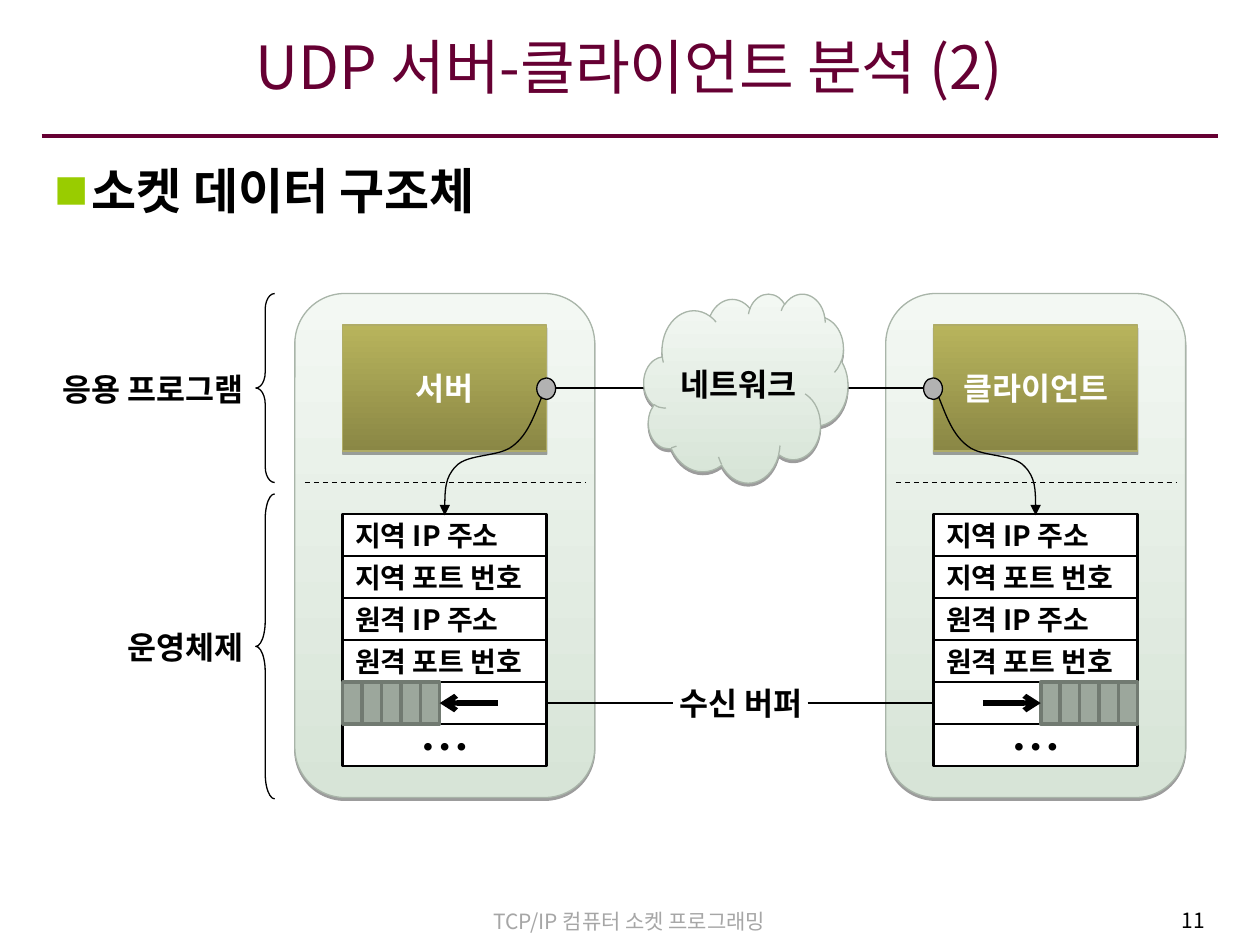
from dataclasses import dataclass

from lxml.etree import SubElement
from pptx import Presentation
from pptx.dml.color import RGBColor
from pptx.enum.dml import MSO_LINE
from pptx.enum.shapes import MSO_CONNECTOR, MSO_SHAPE
from pptx.enum.text import MSO_ANCHOR, MSO_AUTO_SIZE, PP_ALIGN
from pptx.oxml.ns import qn
from pptx.util import Inches, Pt

BLACK = RGBColor(0x00, 0x00, 0x00)
WHITE = RGBColor(0xFF, 0xFF, 0xFF)
WINE = RGBColor(0x66, 0x00, 0x33)
GREY = RGBColor(0xA6, 0xA6, 0xA6)
KNOB = RGBColor(0xB2, 0xB2, 0xB2)
MINT = (RGBColor(0xD7, 0xE4, 0xD7), RGBColor(0xF3, 0xF8, 0xF3))
MINT_EDGE = RGBColor(0xA9, 0xB5, 0xA9)
OLIVE = (RGBColor(0x8A, 0x87, 0x45), RGBColor(0xB8, 0xB4, 0x5C))
OLIVE_EDGE = RGBColor(0xAF, 0xAC, 0x67)
CELL = RGBColor(0x9C, 0xA7, 0x9C)
CELL_EDGE = RGBColor(0x71, 0x7A, 0x71)
SANS = "Noto Sans CJK KR"

TOP, TALL, WIDE = 2.33, 4.0, 2.38
BOX, HALF = 1.62, 0.81
ROW_TOP, ROW = 4.08, 1 / 3
BUF_MID = ROW_TOP + 4.5 * ROW
WIRE = 3.08
SPLIT = 3.83
CELLS = 5
EDGE = 0.04
CELL_WIDE = (HALF - EDGE) / CELLS
BEND = [(0.77, 3.15), (0.71, 3.3), (0.66, 3.45), (0.54, 3.54), (0.43, 3.63),
        (0.18, 3.6), (0.09, 3.7), (0, 3.79), (0, 3.94), (0, 4.09)]
FIELDS = ["지역 IP 주소", "지역 포트 번호", "원격 IP 주소", "원격 포트 번호"]


@dataclass
class Host:
    name: str
    left: float
    side: int

    @property
    def mid(self) -> float:
        return self.left + WIDE / 2

    def at(self, off: float) -> float:
        return self.mid + self.side * off


@dataclass
class Layer:
    name: str
    left: float
    top: float
    tall: float
    curl: float


HOSTS = [Host("서버", 2.34, 1), Host("클라이언트", 7.03, -1)]
LAYERS = [Layer("응용 프로그램", 0.57, TOP, 1.5, 0.83),
          Layer("운영체제", 1.18, 3.92, 2.42, 1.33)]

deck = Presentation()
deck.slide_width, deck.slide_height = Inches(10), Inches(7.5)
slide = deck.slides.add_slide(deck.slide_layouts[1])
shapes = slide.shapes


def write(shape, text: str, *, size=18, color=BLACK, bold=True, font=SANS,
          align=PP_ALIGN.CENTER, anchor=MSO_ANCHOR.MIDDLE, wrap=False):
    frame = shape.text_frame
    frame.auto_size = MSO_AUTO_SIZE.NONE
    frame.word_wrap = wrap
    frame.vertical_anchor = anchor
    para = frame.paragraphs[0]
    para.alignment = align
    run = para.add_run()
    run.text = text
    run.font.size, run.font.bold = Pt(size), bold
    run.font.color.rgb = color
    run.font.name = font
    SubElement(run.font._element, qn("a:ea"), typeface=SANS)
    return para


def place(shape, left: float, top: float, wide: float, tall: float):
    shape.left, shape.top = Inches(left), Inches(top)
    shape.width, shape.height = Inches(wide), Inches(tall)


def label(text: str, left: float, top: float, wide: float, tall: float, **style):
    box = shapes.add_textbox(Inches(left), Inches(top), Inches(wide), Inches(tall))
    write(box, text, **style)


def draw(kind, left: float, top: float, wide: float, tall: float,
         fill=None, edge=BLACK, weight=0.75):
    shape = shapes.add_shape(kind, Inches(left), Inches(top), Inches(wide), Inches(tall))
    shape.shadow.inherit = False
    if fill is None:
        shape.fill.background()
    else:
        shape.fill.solid()
        shape.fill.fore_color.rgb = fill
    shape.line.color.rgb = edge
    shape.line.width = Pt(weight)
    return shape


def shade(shape, tones, depth: float, alpha: int):
    shape.fill.gradient()
    shape.fill.gradient_angle = 90
    for stop, tone in zip(shape.fill.gradient_stops, tones):
        stop.color.rgb = tone
    glow = shape._element.spPr.find(qn("a:effectLst"))
    cast = SubElement(glow, qn("a:outerShdw"), blurRad="0", dist=str(Pt(depth)),
                      dir="5400000", rotWithShape="0")
    tint = SubElement(cast, qn("a:srgbClr"), val="000000")
    SubElement(tint, qn("a:alpha"), val=str(alpha * 1000))


def tip(shape, kind: str):
    SubElement(shape.line._get_or_add_ln(), qn("a:tailEnd"), type=kind)


def rule(start: tuple, end: tuple, color=BLACK, weight=0.75):
    line = shapes.add_connector(MSO_CONNECTOR.STRAIGHT, *map(Inches, start + end))
    line.line.color.rgb = color
    line.line.width = Pt(weight)
    SubElement(line._element.spPr, qn("a:effectLst"))
    return line


def curve(points: list):
    spots = [(Inches(x), Inches(y)) for x, y in points]
    pen = shapes.build_freeform(*spots[0])
    pen.add_line_segments(spots[1:], close=False)
    shape = pen.convert_to_shape()
    shape.shadow.inherit = False
    shape.fill.background()
    shape.line.color.rgb = BLACK
    shape.line.width = Pt(0.75)
    legs = list(shape._element.iter(qn("a:lnTo")))
    trace = legs[0].getparent()
    for first in range(0, len(legs), 3):
        arc = SubElement(trace, qn("a:cubicBezTo"))
        for leg in legs[first:first + 3]:
            arc.append(leg[0])
            trace.remove(leg)
    return shape


def panel(host: Host):
    shape = draw(MSO_SHAPE.ROUNDED_RECTANGLE, host.left, TOP, WIDE, TALL, edge=MINT_EDGE)
    shade(shape, MINT, 1.6, 38)


def stack(host: Host):
    left = host.mid - HALF
    app = draw(MSO_SHAPE.RECTANGLE, left, 2.58, BOX, 1, edge=OLIVE_EDGE)
    shade(app, OLIVE, 1.8, 35)
    write(app, host.name, color=WHITE, font="Arial")
    draw(MSO_SHAPE.OVAL, host.at(HALF) - 0.08, 3, 0.15, 0.17, KNOB)
    split = rule((host.left + 0.08, SPLIT), (host.left + WIDE - 0.07, SPLIT))
    split.line.dash_style = MSO_LINE.DASH
    for i, text in enumerate(FIELDS + ["", "• • •"]):
        row = draw(MSO_SHAPE.RECTANGLE, left, ROW_TOP + i * ROW, BOX, ROW, WHITE, weight=1.5)
        if text in FIELDS:
            write(row, text, size=16, align=PP_ALIGN.LEFT)
        elif text:
            write(row, text, size=16, font="Times New Roman")
    start = min(host.at(-HALF), host.at(-EDGE))
    for i in range(CELLS):
        draw(MSO_SHAPE.RECTANGLE, start + i * CELL_WIDE, ROW_TOP + 4 * ROW,
             CELL_WIDE, ROW, CELL, CELL_EDGE, 2)
    tip(rule((host.at(0.42), BUF_MID), (host.at(-EDGE), BUF_MID), weight=3), "arrow")
    tip(curve([(host.at(off), y) for off, y in BEND]), "triangle")


def brace(layer: Layer):
    shape = draw(MSO_SHAPE.LEFT_BRACE, 2.03, layer.top, 0.15, layer.tall)
    shape.adjustments[0] = layer.curl
    label(layer.name, layer.left, layer.top + layer.tall / 2 - 0.16,
          2.03 - layer.left, 0.33, align=PP_ALIGN.RIGHT)


rule((0.33, 1.08), (9.67, 1.08), WINE, 2.25)
label("TCP/IP 컴퓨터 소켓 프로그래밍", 2.87, 7.16, 4.25, 0.3, size=12,
      color=GREY, bold=False, anchor=MSO_ANCHOR.TOP, wrap=True)
label("11", 7.54, 7.15, 2.12, 0.33, size=12, bold=False,
      align=PP_ALIGN.RIGHT, anchor=MSO_ANCHOR.TOP, wrap=True)

title = shapes.title
place(title, 0.33, 0.15, 9.33, 0.85)
write(title, "UDP 서버-클라이언트 분석 (2)", size=34, color=WINE, bold=False, wrap=True)
title.text_frame.margin_left = title.text_frame.margin_right = Inches(0.08)
title.text_frame.margin_bottom = Inches(0.16)

body = slide.placeholders[1]
place(body, 0.33, 1.22, 9.33, 5.86)
para = write(body, "소켓 데이터 구조체", size=28, align=PP_ALIGN.LEFT,
             anchor=MSO_ANCHOR.TOP, wrap=True)
para.space_before = Pt(7)
props = para._p.get_or_add_pPr()
props.set("marL", str(Inches(0.3)))
props.set("indent", str(Inches(-0.3)))
SubElement(SubElement(props, qn("a:buClr")), qn("a:srgbClr"), val="99CC00")
SubElement(props, qn("a:buSzPct"), val="70000")
SubElement(props, qn("a:buFont"), typeface=SANS)
SubElement(props, qn("a:buChar"), char="■")

for host in HOSTS:
    panel(host)
near, far = (host.at(HALF) for host in HOSTS)
rule((near, WIRE), (far, WIRE))
for host in HOSTS:
    stack(host)
for layer in LAYERS:
    brace(layer)

cloud = draw(MSO_SHAPE.CLOUD, 5.11, TOP, BOX, 1.5, edge=MINT_EDGE)
shade(cloud, MINT, 1.6, 38)
write(cloud, "네트워크", font="Arial")
label("수신 버퍼", 5.11, ROW_TOP + 4 * ROW, 1.54, ROW)
rule((near, BUF_MID), (near + 1, BUF_MID))
rule((far - 1, BUF_MID), (far, BUF_MID))

deck.save("out.pptx")
